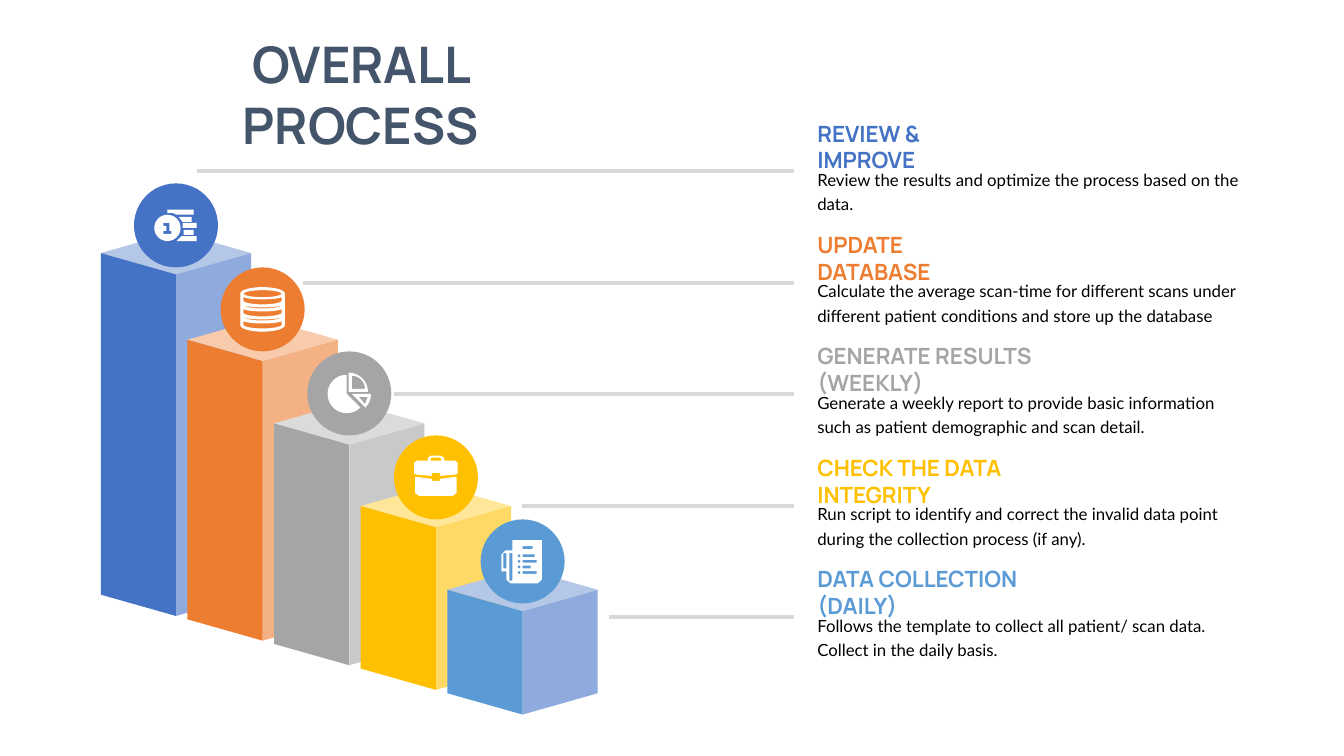
from math import cos, radians, sin

from pptx import Presentation
from pptx.dml.color import RGBColor
from pptx.enum.shapes import MSO_CONNECTOR as Connector, MSO_SHAPE as Preset
from pptx.enum.text import MSO_ANCHOR as Anchor, MSO_AUTO_SIZE as AutoSize, PP_ALIGN as Align
from pptx.oxml.ns import qn
from pptx.util import Pt

COLORS = {
    "title": "44546A", "rule": "D9D9D9", "text": "000000", "icon": "FFFFFF",
    "blue": "4472C4", "blue side": "8FAADC", "blue top": "B4C7E7",
    "orange": "ED7D31", "orange side": "F4B183", "orange top": "F8CBAD",
    "gray": "A5A5A5", "gray side": "C9C9C9", "gray top": "DBDBDB",
    "yellow": "FFC000", "yellow side": "FFD966", "yellow top": "FFE699",
    "sky": "5B9BD5", "sky side": "8FAADC", "sky top": "B4C7E7",
}
# color, column top, rule start, heading, heading width, description
STEPS = [
    ("blue", 165.6, 140.4, "REVIEW & IMPROVE", 150.5,
     "Review the results and optimize the process based on the data."),
    ("orange", 227.5, 216.7, "UPDATE DATABASE", 141.1,
     "Calculate the average scan-time for different scans under different patient "
     "conditions and store up the database"),
    ("gray", 287.3, 281.5, "GENERATE RESULTS (WEEKLY)", 211,
     "Generate a weekly report to provide basic information such as patient "
     "demographic and scan detail."),
    ("yellow", 346.3, 373, "CHECK THE DATA INTEGRITY", 200.9,
     "Run script to identify and correct the invalid data point during the "
     "collection process (if any)."),
    ("sky", 406.1, 434.9, "DATA COLLECTION (DAILY)", 187.9,
     "Follows the template to collect all patient/ scan data. Collect in the daily basis."),
]
COLUMN_PITCH, HALF_WIDTH, HALF_DEPTH = 61.9, 53.7, 15.2
BADGE_SIZE, BADGE_PITCH = 60, 60
ROW_PITCH, RULE_END = 79.6, 567


def rgb(name):
    return RGBColor.from_string(COLORS[name])


def rect(left, top, right, bottom):
    return [(left, top), (right, top), (right, bottom), (left, bottom)]


def arc(x, y, radius_x, radius_y, start, end, parts=32):
    angles = [radians(start + (end - start) * n / parts) for n in range(parts + 1)]
    return [(x + radius_x * cos(a), y + radius_y * sin(a)) for a in angles]


def sector(x, y, radius, start, end):
    return [(x, y)] + arc(x, y, radius, radius, start, end)


def mirrored(half):
    """Complete an outline that is symmetric about x = 0."""
    return half + [(-x, y) for x, y in reversed(half)]


def coins_icon():
    return [
        [(-6.1, -11.2), (12.6, -11.2), (12.6, -7.6), (0.4, -7.6), (-2.5, -8.9), (-6.1, -8.9)],
        [(1.8, -6.1), (11.2, -6.1), (11.2, -2.5), (4.7, -2.5)],
        rect(4.7, -1.8, 14.8, 1.8),
        rect(5.4, 3.2, 12.6, 6.8),
        [(4, 7.6), (14.8, 7.6), (14.8, 11.2), (0.4, 11.2)],
        arc(-6.1, 1.8, 9.4, 9.4, 0, 360),
        [(-9, -1.8), (-4.7, -1.8), (-4.7, 4), (-3.2, 4), (-3.2, 6.1), (-9, 6.1),
         (-9, 4), (-6.8, 4), (-6.8, 0.4), (-9, 0.4)],
    ]


def database_icon():
    def band(top, bottom):
        return arc(0, top, 14, 2.2, 180, 0) + arc(0, bottom, 14, 2.9, 0, 180)

    outside = arc(0, -11.2, 15.5, 4.3, 180, 360) + arc(0, 11.2, 15.5, 4.3, 0, 180)
    disks = [band(-9.7 + 8.6 * n, -6.1 + 8.6 * n) for n in range(3)]
    gaps = [band(-4 + 8.6 * n, -3.2 + 8.6 * n) for n in range(2)]
    return [outside, arc(0, -11.2, 14, 2.9, 0, 360)] + disks + gaps


def pie_icon():
    return [
        sector(-1.8, 0.4, 13.7, 45, 270),
        sector(-0.4, -1.1, 13.7, 270, 360),
        sector(1.8, -3.2, 9.4, 270, 360),
        sector(1.8, 0.4, 13.7, 0, 45),
        [(6.8, 2.5), (11.2, 7.6), (13.3, 2.5)],
    ]


def briefcase_icon():
    lower = [(0, 2.5), (2.9, 2.5), (2.9, 1.1), (14.8, -0.4), (14.8, 11.2), (11.9, 13.3)]
    upper = [(0, -15.5), (3.6, -15.5), (5.8, -14), (5.8, -11.9), (13.7, -11.9),
             (15.5, -10.4), (15.5, -2.5), (12.6, -1.8), (2.9, -1.1), (2.9, -3.2), (0, -3.2)]
    handle = [(0, -14), (3, -14), (3.8, -13.3), (3.8, -11.9), (0, -11.9)]
    return [mirrored(half) for half in (lower, upper, handle)]


def document_icon():
    sheet = [(-7.2, -15.1), (-7.2, -7.9), (-12.2, -7.9), (-15.1, -5), (-15.1, 7.2),
             (-11.5, 7.2), (-11.5, 13), (-8.6, 15.8), (10.8, 15.8), (13.7, 13), (13.7, -15.1)]
    slots = [rect(-13.7, -5.8, -11.5, 5), rect(-9.4, -5.8, -7.2, 13.7)]
    heading = rect(0, -10.8, 7.2, -8.8)
    lines = [rect(0, -5 + 4 * n, right, -3 + 4 * n)
             for n, right in enumerate((8.6, 10.1, 5.8, 10.1))]
    dots = [arc(-2.5, -4 + 4 * n, 1, 1, 0, 360) for n in range(4)]
    return [sheet, heading] + slots + lines + dots


ICONS = [coins_icon, database_icon, pie_icon, briefcase_icon, document_icon]


def paint(shape, color):
    shape.shadow.inherit = False
    shape.fill.solid()
    shape.fill.fore_color.rgb = rgb(color)
    shape.line.fill.background()


def draw_outlines(page, outlines, x, y, color):
    """Draw outlines, given relative to (x, y), as one shape; inner ones are holes."""
    builder = None
    for outline in outlines:
        points = [(Pt(x + dx), Pt(y + dy)) for dx, dy in outline]
        if builder is None:
            builder = page.shapes.build_freeform(*points[0])
        else:
            builder.move_to(*points[0])
        builder.add_line_segments(points[1:], close=True)
    shape = builder.convert_to_shape()
    paint(shape, color)
    return shape


def draw_column(page, x, top, bottom, color):
    """Draw a box column whose front edge stands at x."""
    height = bottom - top
    w, d = HALF_WIDTH, HALF_DEPTH
    lid = [(-w, d), (0, 2 * d), (w, d), (0, 0)]
    draw_outlines(page, [lid], x, top, color + " top")
    for edge, face in ((w, color + " side"), (-w, color)):
        wall = [(edge, d), (0, 2 * d), (0, height), (edge, height - d)]
        draw_outlines(page, [wall], x, top, face)


def draw_badge(page, x, y, color, icon):
    badge = page.shapes.add_shape(Preset.OVAL, Pt(x - BADGE_SIZE / 2), Pt(y - BADGE_SIZE / 2),
                                  Pt(BADGE_SIZE), Pt(BADGE_SIZE))
    paint(badge, color)
    symbol = draw_outlines(page, icon(), x, y, "icon")
    if icon is database_icon:
        symbol.line.color.rgb = rgb("icon")
        symbol.line.width = Pt(0.75)


def draw_rule(page, start, y):
    rule = page.shapes.add_connector(Connector.STRAIGHT, Pt(start), Pt(y), Pt(RULE_END), Pt(y))
    rule.line.color.rgb = rgb("rule")
    rule.line.width = Pt(3)
    properties = rule.element.spPr
    properties.append(properties.makeelement(qn("a:effectLst"), {}))


def write(box, text, font, size, color, bold=False, anchor=Anchor.TOP):
    frame = box.text_frame
    frame.word_wrap = True
    frame.auto_size = AutoSize.NONE
    frame.vertical_anchor = anchor
    para = frame.paragraphs[0]
    span = para.add_run()
    span.text = text
    span.font.name, span.font.size, span.font.bold = font, Pt(size), bold
    span.font.color.rgb = rgb(color)
    return para


def add_title(page, left, top, width, height):
    box = page.shapes.title
    box.left, box.top, box.width, box.height = Pt(left), Pt(top), Pt(width), Pt(height)
    write(box, "OVERALL PROCESS", "Manrope", 36, "title", True).alignment = Align.CENTER


def add_step_text(page, left, top, heading, heading_width, description, color):
    box = page.shapes.add_textbox(Pt(left), Pt(top + 23.1), Pt(323.3), Pt(41.8))
    para = write(box, description, "Lato", 12, "text")
    para.line_spacing, para.space_before = Pt(17.5), Pt(9)
    box = page.shapes.add_textbox(Pt(left), Pt(top), Pt(heading_width), Pt(26.6))
    write(box, heading, "Manrope", 16, color, True, Anchor.MIDDLE)


def main():
    deck = Presentation()
    deck.slide_width, deck.slide_height = Pt(960), Pt(540)
    page = deck.slides.add_slide(deck.slide_layouts[5])
    add_title(page, 110.9, 20.2, 293.8, 51.1)
    for row, (color, top, start, heading, width, description) in enumerate(STEPS):
        draw_rule(page, start, 122.4 + ROW_PITCH * row)
        add_step_text(page, 576.7, 91.4 + ROW_PITCH * row, heading, width, description, color)
    for step, (color, top, *_) in enumerate(STEPS):
        x = 125.7 + COLUMN_PITCH * step
        draw_column(page, x, top, 440 + 17.6 * step, color)
        draw_badge(page, x, 161 + BADGE_PITCH * step, color, ICONS[step])
    deck.save("out.pptx")


if __name__ == "__main__":
    main()
